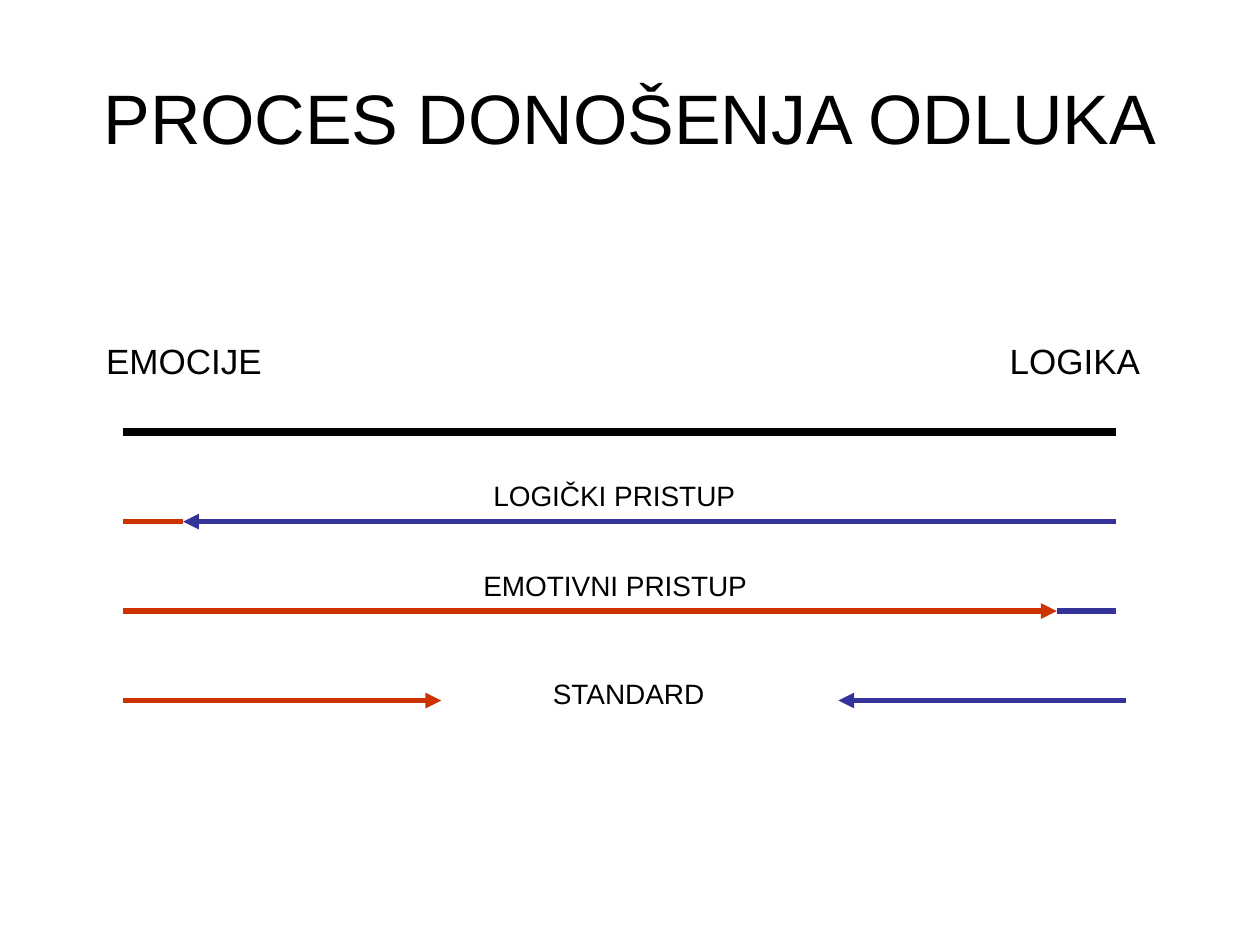
from dataclasses import dataclass

from lxml.etree import SubElement
from pptx import Presentation
from pptx.dml.color import RGBColor
from pptx.enum.shapes import MSO_CONNECTOR
from pptx.enum.text import MSO_ANCHOR, PP_ALIGN
from pptx.oxml.ns import qn
from pptx.util import Inches, Pt


@dataclass(frozen=True)
class Theme:
    font: str = "Arial"
    black: str = "000000"
    emotion: str = "CC3300"
    logic: str = "333399"
    title_size: int = 40
    end_size: int = 20
    label_size: int = 16
    axis_width: float = 4.5
    arrow_width: float = 3


class DecisionSlide:
    left, width = 0.98, 7.88
    top, lane_height = 3.43, 0.71

    def __init__(self, prs, theme):
        self.s = prs.slides.add_slide(prs.slide_layouts[6])
        self.theme = theme

    def x(self, share):
        return Inches(self.left + share * self.width)

    def y(self, lane):
        return Inches(self.top + lane * self.lane_height)

    def text(self, text, box, size, align=PP_ALIGN.LEFT, anchor=MSO_ANCHOR.TOP):
        tf = self.s.shapes.add_textbox(*box).text_frame
        tf.word_wrap = True
        tf.vertical_anchor = anchor
        p = tf.paragraphs[0]
        p.text = text
        p.alignment = align
        p.font.name = self.theme.font
        p.font.size = Pt(size)
        p.font.color.rgb = RGBColor.from_string(self.theme.black)

    def title(self, text):
        box = Inches(0.5), Inches(0.3), Inches(9), Inches(1.25)
        self.text(text, box, self.theme.title_size, PP_ALIGN.CENTER, MSO_ANCHOR.MIDDLE)

    def label(self, text, share, lane, width, size):
        box = self.x(share), self.y(lane), Inches(width * self.width), Pt(size * 1.2 + 7.2)
        self.text(text, box, size)

    def line(self, lane, start, end, color, width, arrow=False):
        y = self.y(lane)
        line = self.s.shapes.add_connector(
            MSO_CONNECTOR.STRAIGHT, self.x(start), y, self.x(end), y)
        line.line.color.rgb = RGBColor.from_string(color)
        line.line.width = Pt(width)
        if arrow:
            SubElement(line.line._get_or_add_ln(), qn("a:tailEnd"), type="triangle")
        SubElement(line._element.spPr, qn("a:effectLst"))


def main():
    prs = Presentation()
    prs.slide_width, prs.slide_height = Inches(10), Inches(7.5)
    theme = Theme()
    slide = DecisionSlide(prs, theme)

    slide.title("PROCES DONOŠENJA ODLUKA")
    slide.line(0, 0, 1, theme.black, theme.axis_width)

    for text, share, lane, width, size in (
        ("EMOCIJE", -0.03, -1.1, 0.22, theme.end_size),
        ("LOGIKA", 0.88, -1.1, 0.18, theme.end_size),
        ("LOGIČKI PRISTUP", 0.36, 0.45, 0.28, theme.label_size),
        ("EMOTIVNI PRISTUP", 0.35, 1.45, 0.33, theme.label_size),
        ("STANDARD", 0.42, 2.66, 0.2, theme.label_size),
    ):
        slide.label(text, share, lane, width, size)

    for lane, start, end, color, arrow in (
        (1, 1, 0.06, theme.logic, True),
        (1, 0.06, 0, theme.emotion, False),
        (2, 0, 0.94, theme.emotion, True),
        (2, 0.94, 1, theme.logic, False),
        (3, 0, 0.32, theme.emotion, True),
        (3, 1.01, 0.72, theme.logic, True),
    ):
        slide.line(lane, start, end, color, theme.arrow_width, arrow)

    prs.save("out.pptx")


if __name__ == "__main__":
    main()
